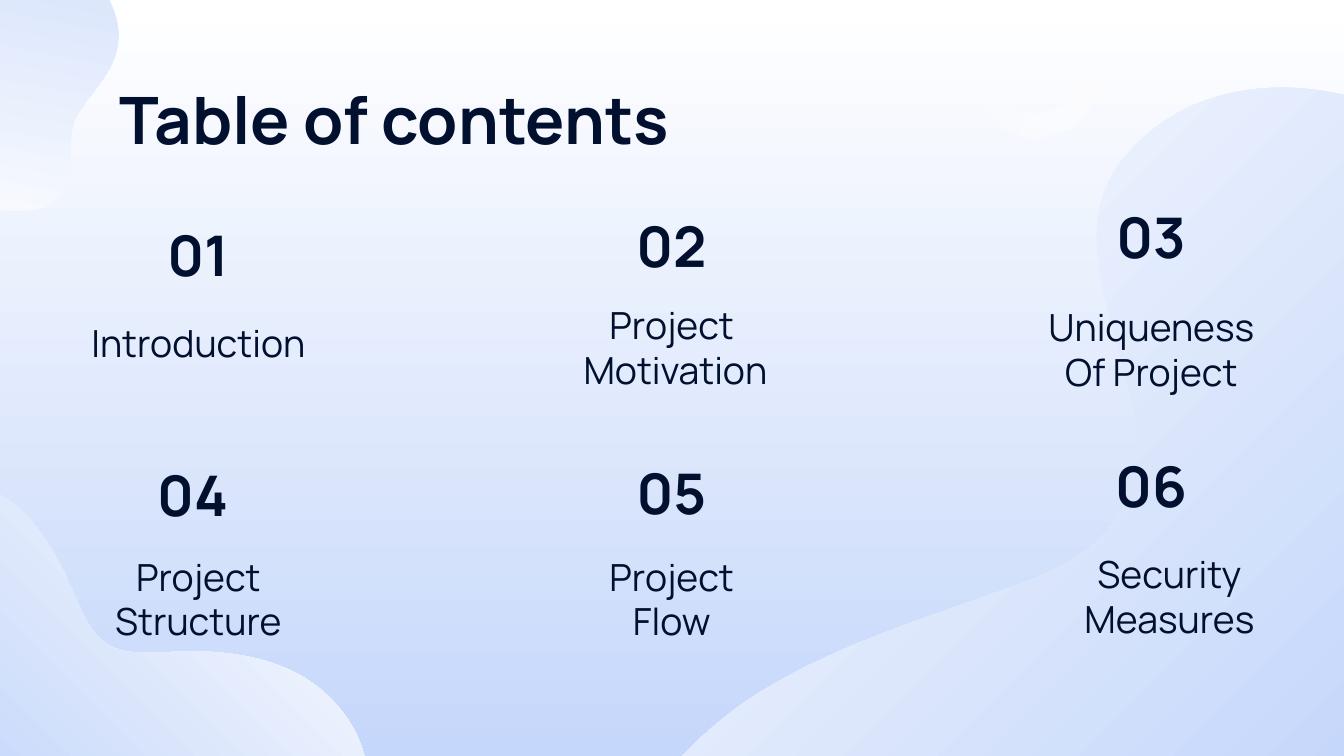
import math

from lxml import etree
from pptx import Presentation
from pptx import util as u
from pptx.dml.color import RGBColor
from pptx.enum import shapes, text
from pptx.oxml.ns import qn

# Content: number, its box and alignment, caption lines, caption box
LEFT, CENTER = text.PP_ALIGN.LEFT, text.PP_ALIGN.CENTER
TITLE = "Table of contents"
TITLE_BOX = (106, 66, 1133, 85)
SECTIONS = [
    ("01", (144, 215, 108, 86), CENTER, ["Introduction"], (29, 320, 339, 58)),
    ("02", (618, 203, 107, 89), CENTER, ["Project ", "Motivation"], (546, 290, 259, 115)),
    ("03", (1097, 201, 108, 82), CENTER, ["Uniqueness", "Of Project"], (1019, 285, 265, 122)),
    ("04", (144, 456, 108, 85), LEFT, ["Project Structure"], (86, 541, 225, 116)),
    ("05", (618, 457, 107, 82), CENTER, ["Project ", "Flow "], (527, 541, 297, 116)),
    ("06", (1097, 450, 108, 82), CENTER, ["Security Measures"], (1037, 532, 265, 122)),
]
FONT, INK, WHITE, BLUE = "Manrope", "01102E", "FFFFFF", "C5D7FA"

# Outlines: a start point, then lines (2 numbers) and Bezier curves (6 numbers)
BLOBS = [  # box, rotation, gradient angle (clockwise), outline as seen on the slide
    ((-67, 482, 433, 285), 0, 135,
     [(-23, 487), (34, 499, 60, 562, 82, 612), (105, 659, 130, 653, 176, 652),
      (239, 649, 308, 661, 347, 718), (358, 734, 364, 751, 367, 767),
      (-67, 767), (-67, 491), (-54, 484, -39, 482, -23, 487)]),
    ((-165, -86, 336, 246), 55.7, 225,
     [(46, 206), (83, 185, 65, 161, 73, 126), (79, 97, 134, 67, 114, 12),
      (93, -47, 40, -35, 8, -32), (-23, -28, -75, -95, -126, -73),
      (-149, -63, -165, -32, -165, 9), (-34, 202), (0, 214, 31, 212, 46, 206)]),
    ((672, 77, 680, 690), 0, 45,
     [(1352, 97), (1275, 77, 1187, 87, 1129, 152), (1040, 251, 1167, 384, 1129, 495),
      (1106, 556, 1040, 578, 989, 595), (907, 625, 827, 649, 751, 698),
      (724, 716, 696, 740, 672, 767), (1352, 767)]),
]
RING_BOX, RING_THICKNESS = (978, 20, 119, 119), 0.21
ARC_BOX = (1020, 20, 77, 118)
RING_ARC = [(1044, 20), (1039, 46), (1055, 47, 1071, 62, 1071, 79),
            (1071, 98, 1056, 113, 1038, 113), (1034, 113, 1030, 112, 1025, 110),
            (1020, 137), (1025, 138, 1031, 138, 1038, 138),
            (1070, 138, 1097, 113, 1097, 79), (1097, 48, 1074, 23, 1044, 20)]

SCALE = 914400 / 134.4


def px(*lengths):
    return [u.Emu(round(length * SCALE)) for length in lengths]


def color(value):
    return RGBColor.from_string(value)


def gradient(fill, angle):
    fill.gradient()
    fill.gradient_angle = (360 - angle) % 360
    for stop, position, value in zip(fill.gradient_stops, (0, 1), (WHITE, BLUE)):
        stop.position = position
        stop.color.rgb = color(value)


def plain(shape):
    shape.shadow.inherit = False
    shape.line.fill.background()
    return shape


def outline(box, segments, rotation=0):
    left, top, width, height = box
    builder = slide.shapes.build_freeform(*px(left, top), scale=1.0)
    builder.add_line_segments([px(left + width, top), px(left + width, top + height)])
    shape = plain(builder.convert_to_shape())
    shape.rotation = rotation
    cosine, sine = math.cos(math.radians(rotation)), math.sin(math.radians(rotation))

    def local(x, y):
        """Point within the box before the shape is turned."""
        dx, dy = x - left - width / 2, y - top - height / 2
        return px(dx * cosine + dy * sine + width / 2, dy * cosine - dx * sine + height / 2)

    # Write lines and true curves into the path
    path = shape.element.find(".//" + qn("a:path"))
    for child in list(path):
        path.remove(child)
    for index, segment in enumerate(segments):
        tag = "a:cubicBezTo" if len(segment) == 6 else "a:lnTo" if index else "a:moveTo"
        command = etree.SubElement(path, qn(tag))
        for x, y in zip(segment[::2], segment[1::2]):
            point = etree.SubElement(command, qn("a:pt"))
            for name, value in zip("xy", local(x, y)):
                point.set(name, str(int(value)))
    etree.SubElement(path, qn("a:close"))
    return shape


def translucent_white(shape, percent):
    shape.fill.solid()
    shape.fill.fore_color.rgb = color(WHITE)
    value = shape.element.spPr.find(qn("a:solidFill")).find(qn("a:srgbClr"))
    etree.SubElement(value, qn("a:alpha")).set("val", str(percent * 1000))


def write(shape, box, lines, size, bold, align, anchor):
    shape.left, shape.top, shape.width, shape.height = px(*box)
    frame = shape.text_frame
    frame.word_wrap = True
    frame.auto_size = text.MSO_AUTO_SIZE.NONE
    frame.vertical_anchor = anchor
    frame.margin_left = frame.margin_right = u.Inches(0.1)
    frame.margin_top = frame.margin_bottom = u.Inches(0.1)
    frame.text = "\n".join(lines)
    for paragraph in frame.paragraphs:
        paragraph.alignment = align
        paragraph.space_before = u.Pt(0)
        font = paragraph.font
        font.name, font.size, font.bold = FONT, u.Pt(size), bold
        font.color.rgb = color(INK)


presentation = Presentation()
presentation.slide_width, presentation.slide_height = px(1344, 756)
slide = presentation.slides.add_slide(presentation.slide_layouts[5])

# Background and blobs
gradient(slide.background.fill, 90)
for box, rotation, angle, segments in BLOBS:
    gradient(outline(box, segments, rotation).fill, angle)

# Title, raised above the blobs
title = slide.shapes.title
slide.shapes.element.append(title.element)
write(title, TITLE_BOX, [TITLE], 35, True, LEFT, text.MSO_ANCHOR.TOP)

# Faint ring
ring = plain(slide.shapes.add_shape(shapes.MSO_SHAPE.DONUT, *px(*RING_BOX)))
ring.adjustments[0] = RING_THICKNESS
for part in (ring, outline(ARC_BOX, RING_ARC)):
    translucent_white(part, 20)

# Sections
for number, number_box, align, caption, caption_box in SECTIONS:
    for box, lines, size, bold, alignment in (
            (number_box, [number], 30, True, align),
            (caption_box, caption, 20, False, CENTER)):
        textbox = slide.shapes.add_textbox(*px(*box))
        write(textbox, box, lines, size, bold, alignment, text.MSO_ANCHOR.BOTTOM)

presentation.save("out.pptx")
